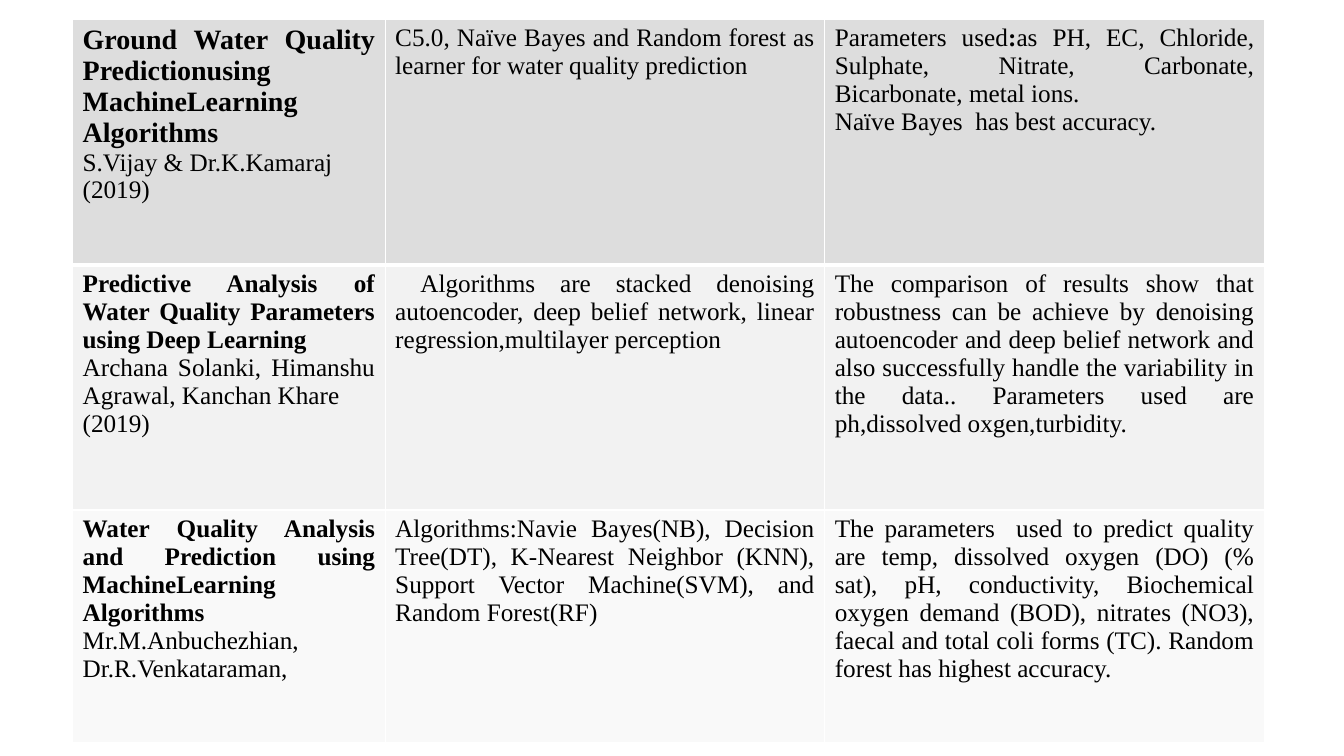
from dataclasses import dataclass

from pptx import Presentation
from pptx.dml.color import RGBColor as Rgb
from pptx.enum.text import PP_ALIGN as Align
from pptx.oxml import parse_xml
from pptx.oxml.ns import nsdecls
from pptx.util import Inches, Pt


@dataclass(frozen=True)
class Theme:
    font: str = "Times New Roman"
    ink: str = "000000"
    rule: str = "FFFFFF"
    bands: tuple = ("DDDDDD", "F2F2F2", "F9F9F9")
    lead_title: int = 20
    body: int = 18
    thin: int = 1
    thick: int = 3


THEME = Theme()
COLUMN_SHARES = (3.1, 4.36, 4.36)
ROW_SHARES = (2.44, 2.43, 2.31)

# Each study: title, authors, methods and findings.
# A paragraph is a string, or a list of (text, bold) pieces.
STUDIES = [
    ("Ground Water Quality Predictionusing MachineLearning Algorithms",
     ["S.Vijay & Dr.K.Kamaraj", "(2019)"],
     ["C5.0, Naïve Bayes and Random forest as learner for water quality prediction"],
     [[("Parameters used", False), (":", True),
       ("as PH, EC, Chloride, Sulphate, Nitrate, Carbonate, "
        "Bicarbonate, metal ions.", False)],
      "Naïve Bayes  has best accuracy."]),
    ("Predictive Analysis of Water Quality Parameters using Deep Learning",
     ["Archana Solanki, Himanshu Agrawal, Kanchan Khare", "(2019)"],
     ["Algorithms are stacked denoising autoencoder, deep belief network, "
      "linear regression,multilayer perception"],
     ["The comparison of results show that robustness can be achieve by denoising "
      "autoencoder and deep belief network and also successfully handle the "
      "variability in the data.. Parameters used are ph,dissolved oxgen,turbidity."]),
    ("Water Quality Analysis and Prediction using MachineLearning Algorithms",
     ["Mr.M.Anbuchezhian, Dr.R.Venkataraman,"],
     ["Algorithms:Navie Bayes(NB), Decision Tree(DT), K-Nearest Neighbor (KNN), "
      "Support Vector Machine(SVM), and Random Forest(RF)"],
     ["The parameters  used to predict quality are temp, dissolved oxygen (DO) "
      "(% sat), pH, conductivity, Biochemical oxygen demand (BOD), nitrates (NO3), "
      "faecal and total coli forms (TC). Random forest has highest accuracy."]),
]


def write(paragraph, text, size=THEME.body, bold=False, indent=0):
    """Fill a justified paragraph with a string or (text, bold) pieces."""
    paragraph.alignment = Align.JUSTIFY
    if indent:
        paragraph._p.get_or_add_pPr().set("indent", str(Inches(indent)))
    pieces = [(text, bold)] if isinstance(text, str) else text
    for words, heavy in pieces:
        run = paragraph.add_run()
        run.text = words
        run.font.name = THEME.font
        run.font.size = Pt(size)
        run.font.bold = heavy
        run.font.color.rgb = Rgb.from_string(THEME.ink)


def write_cell(cell, entries):
    """Write (text, format) entries as the paragraphs of a cell."""
    frame = cell.text_frame
    for number, (text, style) in enumerate(entries):
        paragraph = frame.add_paragraph() if number else frame.paragraphs[0]
        write(paragraph, text, **style)


def paint_cell(cell, fill, top, bottom):
    # Borders come before the fill in the cell properties
    properties = cell._tc.get_or_add_tcPr()
    widths = {"L": THEME.thin, "R": THEME.thin, "T": top, "B": bottom}
    for side, width in widths.items():
        properties.append(parse_xml(
            f'<a:ln{side} {nsdecls("a")} w="{Pt(width)}"><a:solidFill>'
            f'<a:srgbClr val="{THEME.rule}"/></a:solidFill></a:ln{side}>'))
    cell.fill.solid()
    cell.fill.fore_color.rgb = Rgb.from_string(fill)


def literature_table(slide, left, top, width, height):
    table = slide.shapes.add_table(len(STUDIES), len(COLUMN_SHARES),
                                   left, top, width, height).table
    table.first_row = table.horz_banding = False
    for column, share in zip(table.columns, COLUMN_SHARES):
        column.width = int(width * share / sum(COLUMN_SHARES))
    for row, share in zip(table.rows, ROW_SHARES):
        row.height = int(height * share / sum(ROW_SHARES))

    for index, (title, authors, methods, findings) in enumerate(STUDIES):
        title_size = THEME.body if index else THEME.lead_title
        method_style = {"indent": 0.25} if index == 1 else {}
        contents = (
            [(title, {"size": title_size, "bold": True})]
            + [(author, {}) for author in authors],
            [(method, method_style) for method in methods],
            [(finding, {}) for finding in findings],
        )
        # A thick rule parts the first study from the rest
        upper = THEME.thick if index == 1 else THEME.thin
        lower = THEME.thick if index == 0 else THEME.thin
        for cell, entries in zip(table.rows[index].cells, contents):
            paint_cell(cell, THEME.bands[index], upper, lower)
            write_cell(cell, entries)


deck = Presentation()
deck.slide_width, deck.slide_height = Inches(13.33), Inches(7.5)
page_width, page_height = deck.slide_width, deck.slide_height
survey = deck.slides.add_slide(deck.slide_layouts[6])

# Literature survey, placed by shares of the slide
literature_table(survey, Inches(0.72), Inches(0.19),
                 page_width - Inches(1.51), page_height - Inches(0.32))
deck.save("out.pptx")
